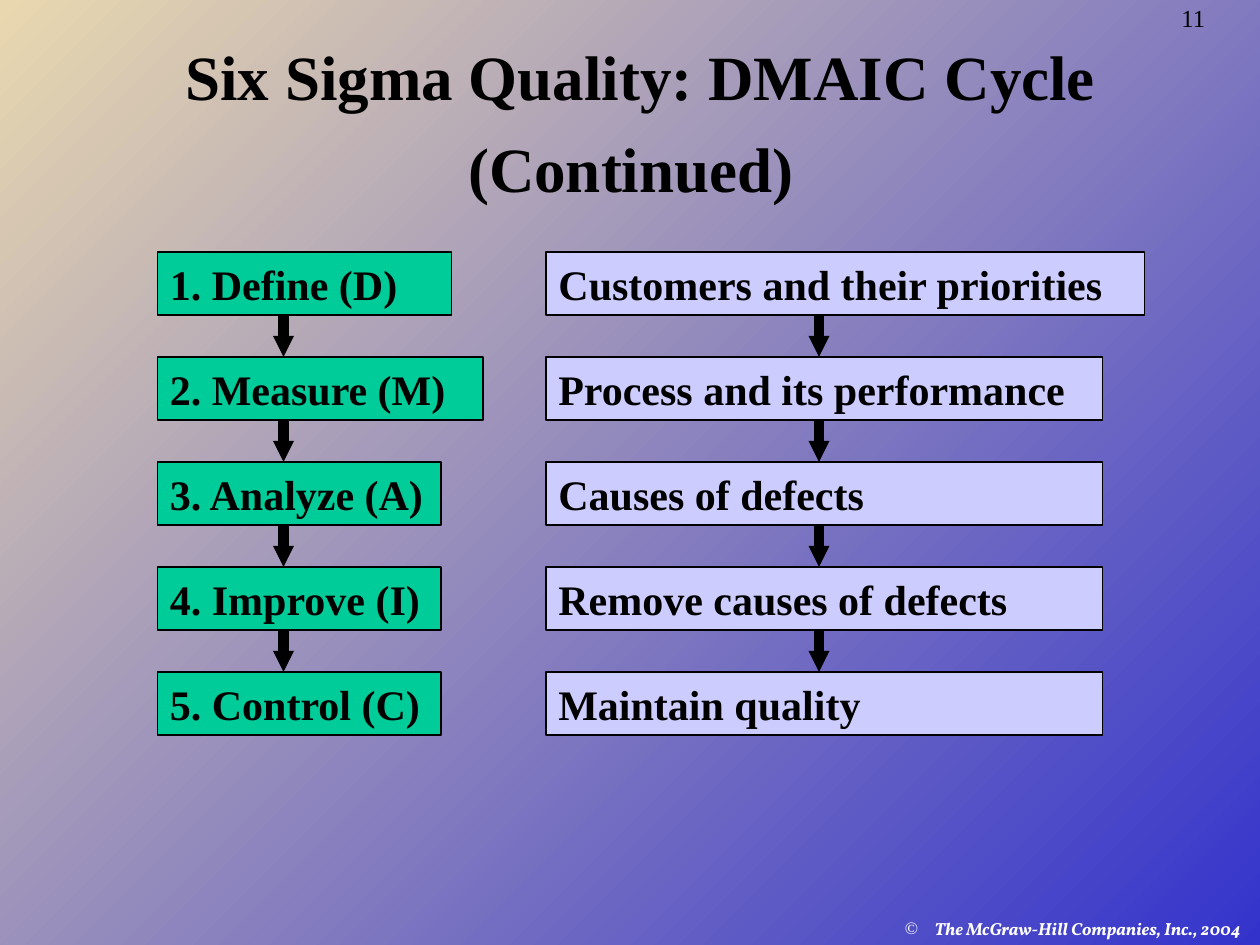
from lxml import etree
from pptx import Presentation
from pptx.dml.color import RGBColor
from pptx.enum import shapes, text
from pptx.oxml import ns
from pptx.util import Pt

SERIF = "Times New Roman"
STEPS = ["1. Define (D)", "2. Measure (M)", "3. Analyze (A)",
         "4. Improve (I)", "5. Control (C)"]
GOALS = ["Customers and their priorities", "Process and its performance",
         "Causes of defects", "Remove causes of defects", "Maintain quality"]


def paint(hue):
    """Turn a hex string into a colour."""
    return RGBColor.from_string(hue)


def add_tag(node, tag, **attrs):
    """Append a drawing element to a node."""
    return etree.SubElement(node, ns.qn(tag), attrs)


def style(run, size, hue="000000", name=SERIF, bold=False, italic=False):
    """Format one run."""
    font = run.font
    font.size, font.name, font.bold, font.italic = Pt(size), name, bold, italic
    font.color.rgb = paint(hue)


def set_back(slide):
    """Fill the background with a diagonal gradient."""
    fill = slide.background.fill
    fill.gradient()
    fill.gradient_angle = 135
    for stop, hue in zip(fill.gradient_stops, ("3333CC", "E9D8AF")):
        stop.color.rgb = paint(hue)


def set_title(slide, left, top, width, height):
    """Place and format the title."""
    title = slide.shapes.title
    title.left, title.top = Pt(left), Pt(top)
    title.width, title.height = Pt(width), Pt(height)
    frame = title.text_frame
    frame.word_wrap = True
    frame.auto_size = text.MSO_AUTO_SIZE.NONE
    frame.vertical_anchor = text.MSO_ANCHOR.MIDDLE
    para = frame.paragraphs[0]
    para.alignment = text.PP_ALIGN.CENTER
    for part, size in (("Six Sigma Quality: DMAIC Cycle", 36), (" ", 44),
                       ("(Continued)", 36), (" ", 44)):
        run = para.add_run()
        run.text = part
        style(run, size, bold=size == 36)


def add_number(slide, left, top, width, height):
    """Add the page number."""
    box = slide.shapes.add_textbox(Pt(left), Pt(top), Pt(width), Pt(height))
    para = box.text_frame.paragraphs[0]
    para.text = "11"
    para.line_spacing = 0.9
    style(para.runs[0], 14)


def add_credit(slide, left, top, width, height):
    """Add the copyright line with its sign as the bullet."""
    box = slide.shapes.add_textbox(Pt(left), Pt(top), Pt(width), Pt(height))
    box.text_frame.word_wrap = True
    para = box.text_frame.paragraphs[0]
    para.text = "The McGraw-Hill Companies, Inc., 2004"
    props = para._p.get_or_add_pPr()
    props.set("marL", str(Pt(17)))
    props.set("indent", str(-Pt(17)))
    add_tag(add_tag(props, "a:buClr"), "a:srgbClr", val="FFFFFF")
    add_tag(props, "a:buFont", typeface=SERIF)
    add_tag(props, "a:buChar", char="©")
    style(para.runs[0], 10, "FFFFFF", "Vollkorn", True, True)


def add_box(slide, label, hue, left, top, width, height):
    """Add one labelled box."""
    kind = shapes.MSO_SHAPE.RECTANGLE
    box = slide.shapes.add_shape(kind, Pt(left), Pt(top), Pt(width), Pt(height))
    box.shadow.inherit = False
    box.fill.solid()
    box.fill.fore_color.rgb = paint(hue)
    box.line.color.rgb = paint("000000")
    box.line.width = Pt(0.75)
    frame = box.text_frame
    frame.word_wrap = True
    frame.vertical_anchor = text.MSO_ANCHOR.TOP
    para = frame.paragraphs[0]
    para.text = label
    para.alignment = text.PP_ALIGN.LEFT
    style(para.runs[0], 24, bold=True)


def add_arrow(slide, x, top, end):
    """Add a thick arrow pointing down."""
    kind = shapes.MSO_CONNECTOR.STRAIGHT
    arrow = slide.shapes.add_connector(kind, Pt(x), Pt(top), Pt(x), Pt(end))
    arrow.line.color.rgb = paint("000000")
    arrow.line.width = Pt(6)
    add_tag(arrow.line._get_or_add_ln(), "a:tailEnd",
            type="triangle", w="sm", len="sm")
    add_tag(arrow._element.spPr, "a:effectLst")


def add_chain(slide, labels, widths, hue, left, top, shift):
    """Add a column of boxes joined by arrows."""
    step, height = 60, 36
    for i, (label, width) in enumerate(zip(labels, widths)):
        y = top + i * step
        add_box(slide, label, hue, left, y, width, height)
        if i < len(labels) - 1:
            add_arrow(slide, left + shift, y + height, y + step)


def main():
    """Build and save the slide."""
    deck = Presentation()
    deck.slide_width, deck.slide_height = Pt(720), Pt(540)
    slide = deck.slides.add_slide(deck.slide_layouts[5])
    set_back(slide)
    add_number(slide, 668, 0, 73, 22)
    add_credit(slide, 510, 521, 210, 31)
    set_title(slide, 30, 18, 672, 96)
    add_chain(slide, STEPS, [168, 186] + [162] * 3, "00CC99", 90, 144, 72)
    add_chain(slide, GOALS, [342] + [318] * 4, "CCCCFF", 312, 144, 156)
    deck.save("out.pptx")


if __name__ == "__main__":
    main()
